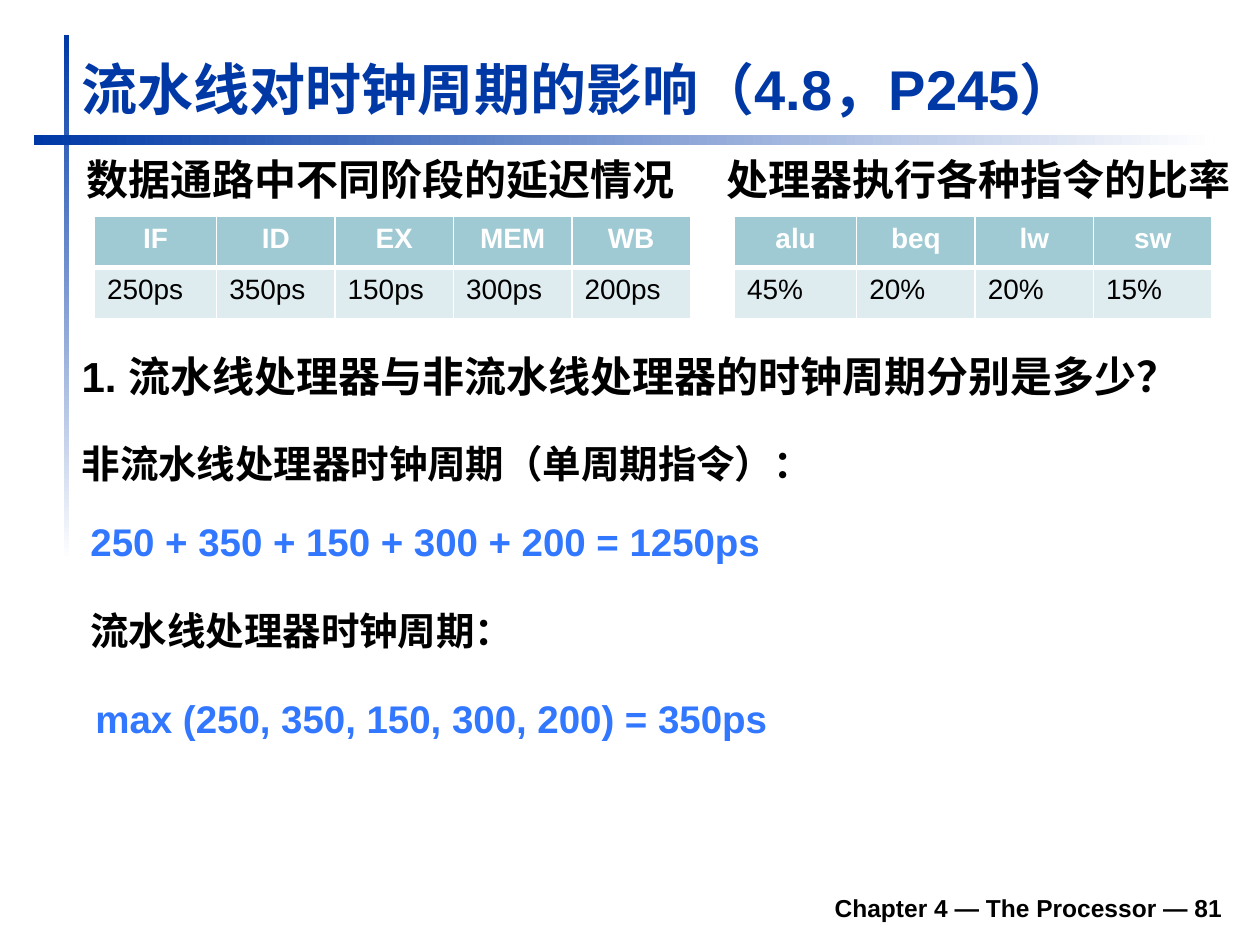
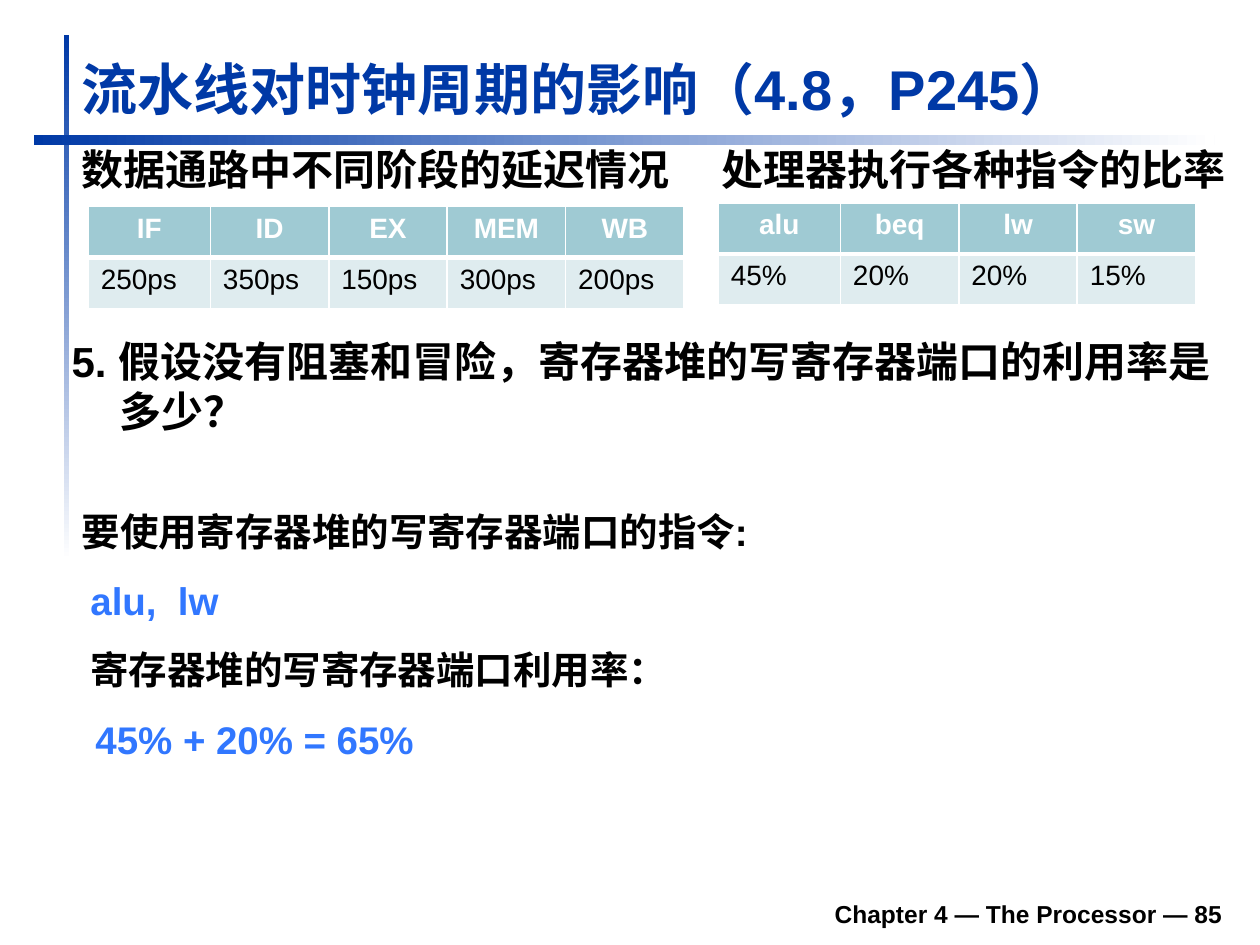
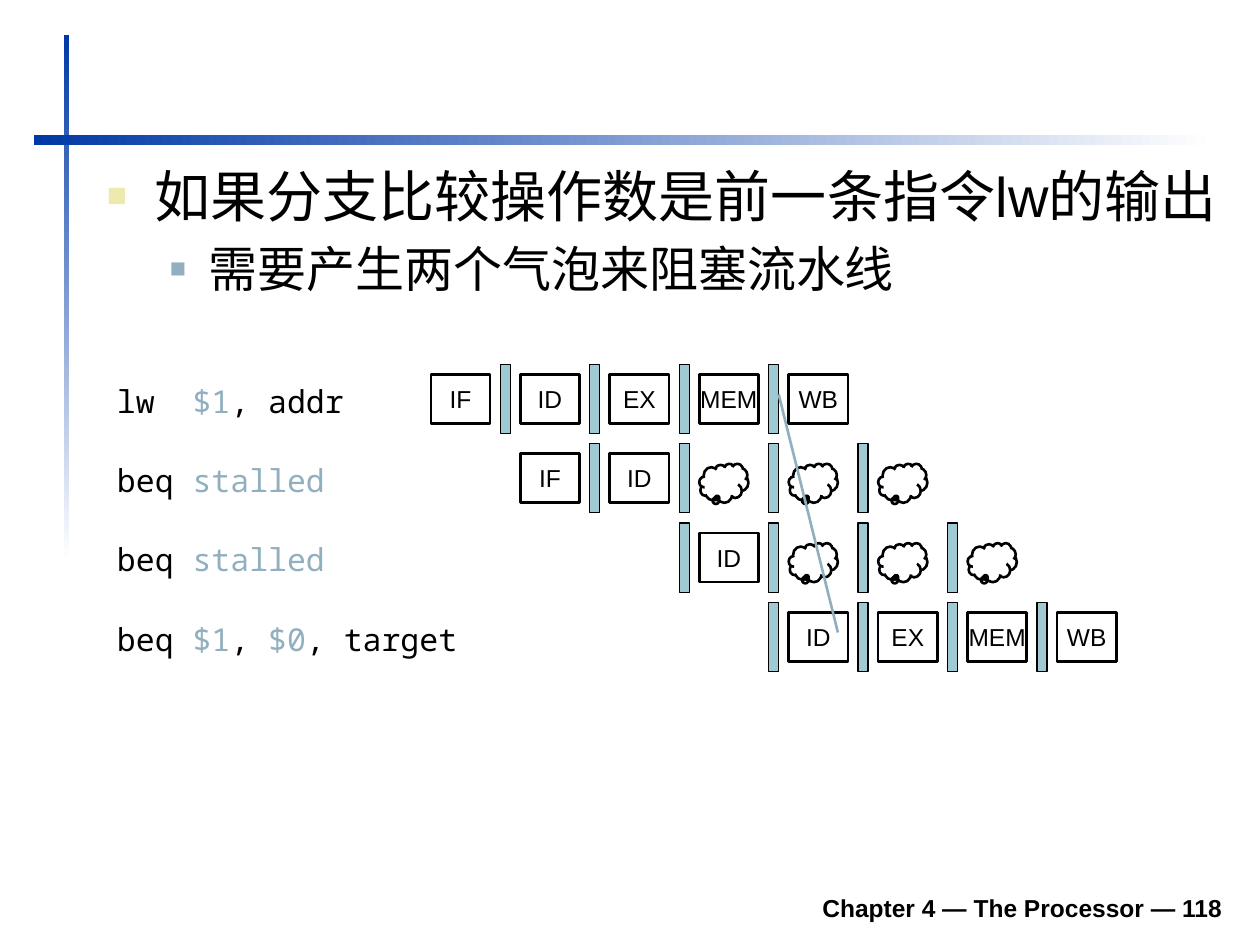
import pptx
import pptx.dml.color
import pptx.enum.shapes
import pptx.enum.text
import pptx.oxml
import pptx.oxml.ns
import pptx.util
from lxml import etree

Inches, Pt = pptx.util.Inches, pptx.util.Pt
RGB = pptx.dml.color.RGBColor.from_string
SHAPE = pptx.enum.shapes.MSO_SHAPE
ANCHOR = pptx.enum.text.MSO_ANCHOR
ALIGN = pptx.enum.text.PP_ALIGN
FIT = pptx.enum.text.MSO_AUTO_SIZE
qn = pptx.oxml.ns.qn

COLORS = {
    "title": "0039A6", "text": "000000", "answer": "3177FF", "white": "FFFFFF",
    "teal": "9FCAD3", "pale": "DFECEF", "accent": "91AFBF", "sand": "ECEAAC",
}
HANG = 0.38  # hanging indent of body text


def write(frame, text, *, size, color="text", bold=False, font="Arial", align=ALIGN.LEFT,
          margin=0, hang=0, bullet=None, space=0):
    """Write one paragraph; parts between bars take the accent colour."""
    paragraph = frame.paragraphs[0]
    if paragraph.runs:
        paragraph = frame.add_paragraph()
        paragraph.space_before = Pt(space)
    paragraph.alignment = align
    properties = paragraph._p.get_or_add_pPr()
    properties.set("marL", str(Inches(margin)))
    properties.set("indent", str(-Inches(hang)))
    if bullet:
        bullet_color, percent = bullet
        color_element = etree.SubElement(properties, qn("a:buClr"))
        etree.SubElement(color_element, qn("a:srgbClr"), val=COLORS[bullet_color])
        etree.SubElement(properties, qn("a:buSzPct"), val=str(percent * 1000))
        etree.SubElement(properties, qn("a:buFont"), typeface="Arial")
        etree.SubElement(properties, qn("a:buChar"), char="■")
    for index, part in enumerate(text.split("|")):
        run = paragraph.add_run()
        run.text = part
        run.font.name, run.font.size, run.font.bold = font, Pt(size), bold
        run.font.color.rgb = RGB(COLORS["accent" if index % 2 else color])


def add_box(slide, left, top, width, height, kind=None, fill=None, line=None):
    """Add a text box, or a preset shape when a kind is given."""
    place = [Inches(length) for length in (left, top, width, height)]
    if kind is None:
        box = slide.shapes.add_textbox(*place)
        box.text_frame.word_wrap = True
        return box
    box = slide.shapes.add_shape(kind, *place)
    box.shadow.inherit = False
    if fill:
        box.fill.solid()
        box.fill.fore_color.rgb = RGB(COLORS[fill])
    else:
        box.fill.background()
    if line:
        box.line.color.rgb = RGB(COLORS["text"])
        box.line.width = Pt(line)
    else:
        box.line.fill.background()
    return box


presentation = pptx.Presentation()
presentation.slide_width, presentation.slide_height = Inches(10), Inches(7.5)
TITLE_ONLY, BLANK = presentation.slide_layouts[5], presentation.slide_layouts[6]

# Bands and footer of every slide
slides = []
for layout, number, footer_top in [(TITLE_ONLY, 81, 6.98), (TITLE_ONLY, 85, 7.03), (BLANK, 118, 6.98)]:
    slide = presentation.slides.add_slide(layout)
    slides.append(slide)
    for place, angle in [((0.51, 0.28, 0.04, 4.17), 270), ((0.27, 1.07, 9.37, 0.08), 0)]:
        band = add_box(slide, *place, kind=SHAPE.RECTANGLE)
        band.fill.gradient()
        band.fill.gradient_angle = angle
        for stop, color in zip(band.fill.gradient_stops, ("title", "white")):
            stop.color.rgb = RGB(COLORS[color])
    footer = add_box(slide, 1.85, footer_top, 7.95, 0.39).text_frame
    footer.vertical_anchor = ANCHOR.BOTTOM
    write(footer, f"Chapter 4 — The Processor — {number}", size=14, bold=True, align=ALIGN.RIGHT)

# Exercise slides: two captioned tables, a question and its solution
STAGES = [["IF", "ID", "EX", "MEM", "WB"], ["250ps", "350ps", "150ps", "300ps", "200ps"]]
MIX = [["alu", "beq", "lw", "sw"], ["45%", "20%", "20%", "15%"]]
STAGE_CAPTION, MIX_CAPTION = "数据通路中不同阶段的延迟情况", "处理器执行各种指令的比率"
SOLUTION_LEFTS = [0.55, 0.62, 0.62, 0.66]
exercises = [
    {
        "captions": [(0.59, 1.17, 5.11, STAGE_CAPTION), (5.67, 1.17, 4.25, MIX_CAPTION)],
        "tables": [(0.75, 1.72, STAGES), (5.83, 1.72, MIX)],
        "question": (0.55, 2.73, 0.55, "1. 流水线处理器与非流水线处理器的时钟周期分别是多少？"),
        "solution": [
            (3.44, "非流水线处理器时钟周期（单周期指令）："),
            (4.06, "250 + 350 + 150 + 300 + 200 = 1250ps"),
            (4.77, "流水线处理器时钟周期："),
            (5.47, "max (250, 350, 150, 300, 200) = 350ps"),
        ],
    },
    {
        "captions": [(0.55, 1.09, 5.11, STAGE_CAPTION), (5.63, 1.09, 4.37, MIX_CAPTION)],
        "tables": [(0.7, 1.64, STAGES), (5.7, 1.61, MIX)],
        "question": (0.47, 2.61, 0.99, "5. 假设没有阻塞和冒险，寄存器堆的写寄存器端口的利用率是多少？"),
        "solution": [
            (3.98, "要使用寄存器堆的写寄存器端口的指令:"),
            (4.53, "alu,  lw"),
            (5.08, "寄存器堆的写寄存器端口利用率："),
            (5.63, "45% + 20% = 65%"),
        ],
    },
]

for slide, exercise in zip(slides, exercises):
    title = slide.shapes.title
    title.left, title.top, title.width, title.height = map(Inches, (0.55, 0.38, 9.03, 0.64))
    title.text_frame.vertical_anchor = ANCHOR.BOTTOM
    title.text_frame.auto_size = FIT.SHAPE_TO_FIT_TEXT
    write(title.text_frame, "流水线对时钟周期的影响（4.8，P245）", size=32, color="title", bold=True)

    for left, top, width, caption in exercise["captions"]:
        write(add_box(slide, left, top, width, 0.63).text_frame, caption,
              size=24, bold=True, margin=HANG, hang=HANG)

    for left, top, rows in exercise["tables"]:
        widths = [0.97] + [0.94] * (len(rows[0]) - 1)
        table = slide.shapes.add_table(len(rows), len(widths), Inches(left), Inches(top),
                                       Inches(sum(widths)), Inches(0.81)).table
        table.horz_banding = False
        for column, width in zip(table.columns, widths):
            column.width = Inches(width)
        for row_index, row in enumerate(rows):
            header = row_index == 0
            for column_index, value in enumerate(row):
                cell = table.cell(row_index, column_index)
                cell_properties = cell._tc.get_or_add_tcPr()
                for side in "LRTB":
                    width = 3 if (side, row_index) in (("B", 0), ("T", 1)) else 1
                    border = etree.SubElement(cell_properties, qn(f"a:ln{side}"), w=str(Pt(width)))
                    border_fill = etree.SubElement(border, qn("a:solidFill"))
                    etree.SubElement(border_fill, qn("a:srgbClr"), val=COLORS["white"])
                cell.fill.solid()
                cell.fill.fore_color.rgb = RGB(COLORS["teal" if header else "pale"])
                write(cell.text_frame, value, size=16, bold=header,
                      color="white" if header else "text",
                      align=ALIGN.CENTER if header else ALIGN.LEFT)

    left, top, height, question = exercise["question"]
    write(add_box(slide, left, top, 9.26, height).text_frame, question,
          size=24, bold=True, margin=HANG, hang=HANG)
    for index, (left, (top, text)) in enumerate(zip(SOLUTION_LEFTS, exercise["solution"])):
        write(add_box(slide, left, top, 9.26, 0.55).text_frame, text, size=22, bold=True,
              color="answer" if index % 2 else "text", margin=HANG, hang=HANG)

# Stall slide: bullets
slide = slides[2]
body = add_box(slide, 0.75, 1.23, 9.05, 2.6).text_frame
write(body, "如果分支比较操作数是前一条指令lw的输出", size=32, margin=HANG, hang=HANG, bullet=("sand", 60))
write(body, "需要产生两个气泡来阻塞流水线", size=28, margin=0.81, hang=0.31,
      bullet=("accent", 55), space=6)

# Pipeline diagram: code, first cycle, stages ("" is a bubble)
GRID_LEFT, GRID_TOP, CYCLE, ROW = 3.42, 2.97, 0.71, 0.63
pipeline = [
    ("lw  |$1|, addr", 0, ["IF", "ID", "EX", "MEM", "WB"]),
    ("beq |stalled", 1, ["IF", "ID", "", "", ""]),
    ("beq |stalled", 3, ["ID", "", "", ""]),
    ("beq |$1|, |$0|, target", 4, ["ID", "EX", "MEM", "WB"]),
]
for row_index, (code, first_cycle, stages) in enumerate(pipeline):
    top = GRID_TOP + row_index * ROW
    label = add_box(slide, 0.83, top + 0.01, 2.92, 0.4).text_frame
    label.word_wrap = False
    write(label, code, size=18, font="Noto Sans Mono")
    for cycle, stage in enumerate(stages, first_cycle):
        left = GRID_LEFT + cycle * CYCLE
        if stage:
            frame = add_box(slide, left, top, 0.47, 0.39, SHAPE.RECTANGLE, line=1.5).text_frame
            frame.word_wrap = False
            frame.vertical_anchor = ANCHOR.MIDDLE
            write(frame, stage, size=14, align=ALIGN.CENTER)
        else:
            bubble = add_box(slide, left, top + 0.08, 0.39, 0.31, SHAPE.CLOUD_CALLOUT, line=1.5)
            bubble.adjustments[0], bubble.adjustments[1] = -0.13, 0.36
    for cycle in range(row_index, row_index + 4):
        add_box(slide, GRID_LEFT + 0.55 + cycle * CYCLE, top - 0.08, 0.08, 0.55,
                SHAPE.RECTANGLE, fill="teal", line=0.75)

# Forwarding line from the loaded value to the branch
forwarding = slide.shapes.add_connector(pptx.enum.shapes.MSO_CONNECTOR.STRAIGHT,
                                        Inches(6.18), Inches(3.13), Inches(6.65), Inches(5.02))
forwarding.line.color.rgb = RGB(COLORS["accent"])
forwarding.line.width = Pt(1.5)
etree.SubElement(forwarding._element.spPr, qn("a:effectLst"))

presentation.save("out.pptx")
